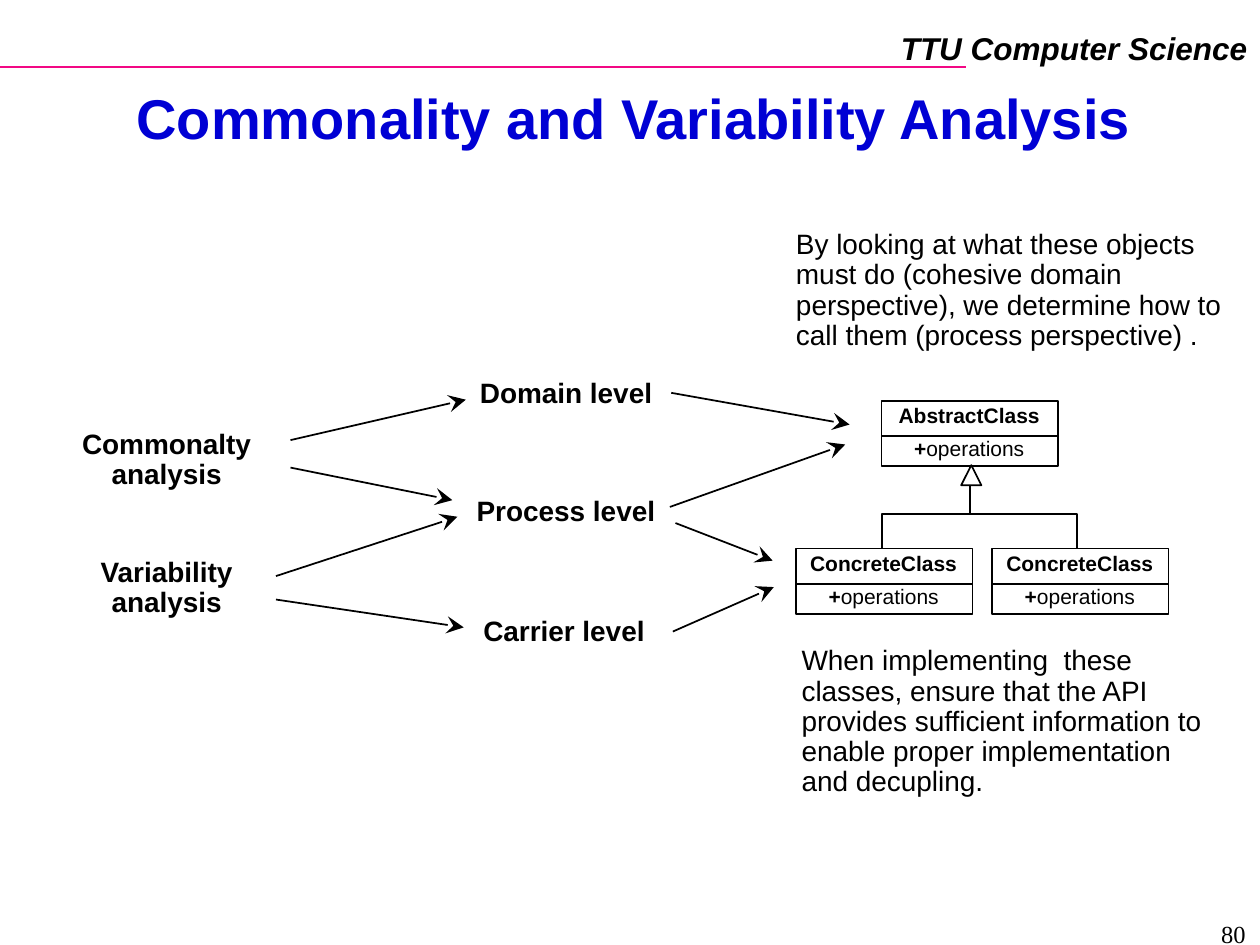
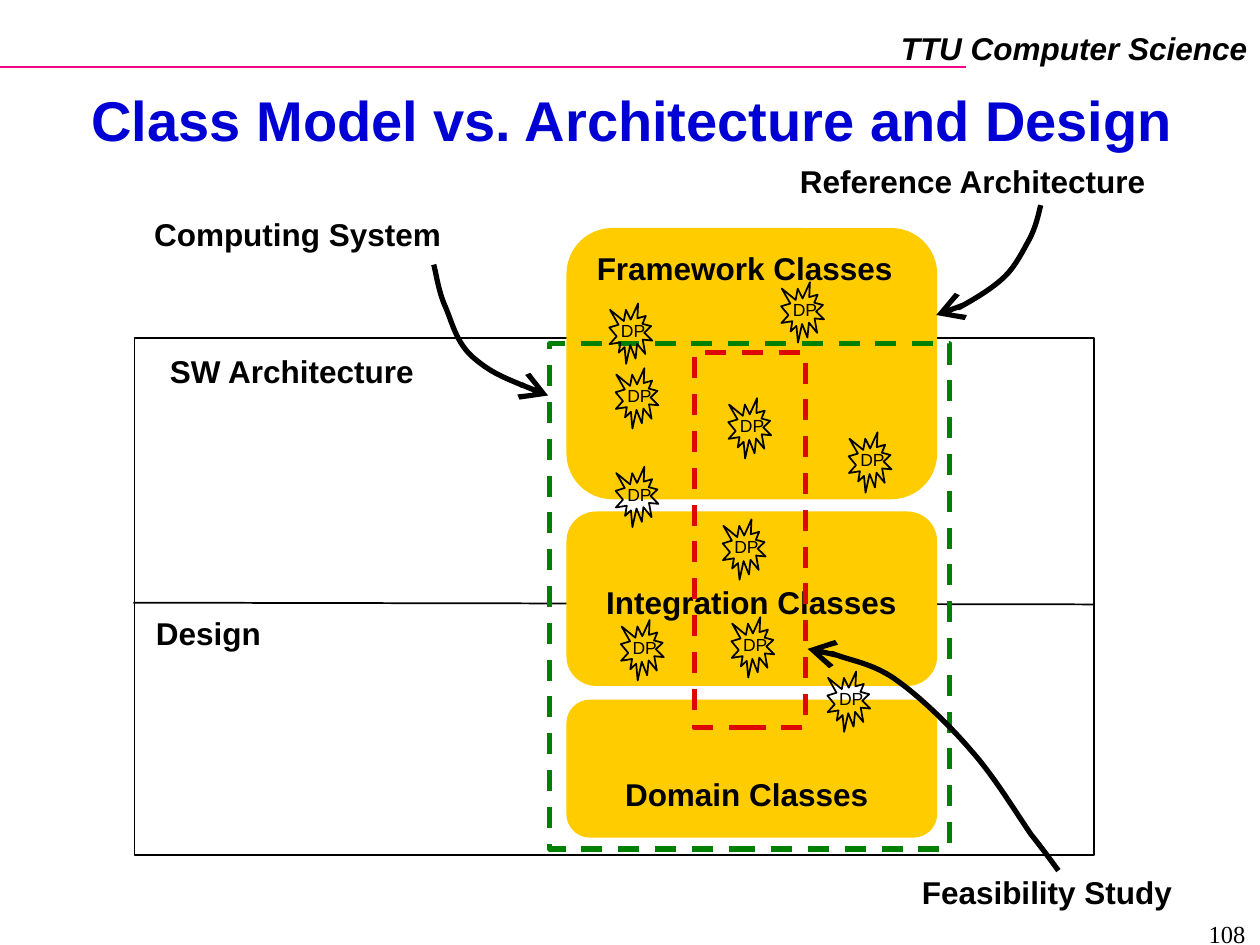
from lxml.etree import SubElement
from pptx import Presentation
from pptx.dml.color import RGBColor
from pptx.enum.dml import MSO_LINE
from pptx.enum.shapes import MSO_CONNECTOR, MSO_SHAPE
from pptx.enum.text import MSO_ANCHOR, PP_ALIGN
from pptx.oxml.ns import qn
from pptx.util import Pt

COLORS = {
    "black": "000000",
    "white": "FFFFFF",
    "title": "0000D4",
    "rule": "F20884",
    "layer": "FFCC00",
    "system": "008000",
    "study": "DD0806",
}
TITLE = {"size": 32, "bold": True, "color": "title"}
HEADER = {"size": 18, "bold": True, "italic": True}
NUMBER = {"size": 14, "name": "Times New Roman"}
LEVEL = {"size": 16, "bold": True}
NOTE = {"size": 16}
CLASS_NAME = {"size": 12, "bold": True}
CLASS_BODY = {"size": 12}
LABEL = {"size": 18, "bold": True}
PATTERN = {"size": 10}


def rgb(name):
    return RGBColor.from_string(COLORS[name])


def set_font(font, fmt):
    values = {"name": "Arial", "bold": False, "italic": False, "color": "black", **fmt}
    font.color.rgb = rgb(values.pop("color"))
    values["size"] = Pt(values["size"])
    for key, value in values.items():
        setattr(font, key, value)


def set_line(line, color="black", width=1, dashed=False):
    line.color.rgb = rgb(color)
    line.width = Pt(width)
    if dashed:
        line.dash_style = MSO_LINE.DASH


def add_arrowhead(sp, kind):
    ln = sp.line._get_or_add_ln()
    SubElement(ln, qn("a:tailEnd"), type=kind, w="lg", len="lg")


def add_text(shapes, box, runs, align=PP_ALIGN.LEFT, spacing=0.9,
             anchor=MSO_ANCHOR.TOP, wrap=True):
    tf = shapes.add_textbox(*map(Pt, box)).text_frame
    tf.word_wrap = wrap
    tf.vertical_anchor = anchor
    p = tf.paragraphs[0]
    p.alignment = align
    p.line_spacing = spacing
    for text, fmt in runs:
        r = p.add_run()
        r.text = text
        set_font(r.font, fmt)


def add_box(shapes, kind, box, fill=None, **line):
    sp = shapes.add_shape(kind, *map(Pt, box))
    sp.shadow.inherit = False
    if fill:
        sp.fill.solid()
        sp.fill.fore_color.rgb = rgb(fill)
    else:
        sp.fill.background()
    set_line(sp.line, **line)
    return sp


def add_line(shapes, ends, color="black", head=None):
    cxn = shapes.add_connector(MSO_CONNECTOR.STRAIGHT, *map(Pt, ends))
    set_line(cxn.line, color)
    if head:
        add_arrowhead(cxn, head)
    SubElement(cxn._element.spPr, qn("a:effectLst"))
    return cxn


def add_path(shapes, points, width=1):
    start, *rest = [(Pt(x), Pt(y)) for x, y in points]
    fb = shapes.build_freeform(*start)
    fb.add_line_segments(rest, close=False)
    sp = fb.convert_to_shape()
    sp.shadow.inherit = False
    sp.fill.background()
    set_line(sp.line, width=width)
    return sp


def add_curve(shapes, knots):
    sp = add_path(shapes, knots, width=3)
    add_arrowhead(sp, "arrow")
    outline = next(sp._element.iter(qn("a:path")))
    segments = outline.findall(qn("a:lnTo"))
    for i in range(0, len(segments), 3):
        curve = SubElement(outline, qn("a:cubicBezTo"))
        for segment in segments[i:i + 3]:
            curve.append(segment[0])
            outline.remove(segment)


def add_class(shapes, x, y, name):
    grp = shapes.add_group_shape().shapes
    frame = add_box(grp, MSO_SHAPE.RECTANGLE, (x, y, 100.8, 37.4))
    add_line(grp, (x, y + 20.2, x + 100.4, y + 20.2))
    body = [("+", CLASS_NAME), ("operations", CLASS_BODY)]
    for dy, runs in ((-0.7, [(name, CLASS_NAME)]), (18, body)):
        add_text(grp, (x - 3.2, y + dy, 106.5, 20), runs, PP_ALIGN.CENTER)
    return frame


def add_pattern(shapes, x, y):
    grp = shapes.add_group_shape().shapes
    add_box(grp, MSO_SHAPE.EXPLOSION1, (x, y, 24.5, 34.5))
    add_text(grp, (x - 7.7, y + 7.4, 42.5, 18), [("DP", PATTERN)], PP_ALIGN.CENTER)


def add_slide(prs, title, title_box, number):
    s = prs.slides.add_slide(prs.slide_layouts[6])
    add_line(s.shapes, (0, 38.2, 552, 38.2), "rule")
    add_text(s.shapes, (507.5, 13, 212.4, 29), [("TTU Computer Science", HEADER)],
             PP_ALIGN.RIGHT, 1, wrap=False)
    add_text(s.shapes, title_box, [(title, TITLE)], PP_ALIGN.CENTER, 0.87,
             MSO_ANCHOR.MIDDLE)
    add_text(s.shapes, (550.8, 521.6, 168, 16), [(number, NUMBER)], PP_ALIGN.RIGHT, 1)
    return s.shapes


def build_analysis(prs):
    shapes = add_slide(prs, "Commonality and Variability Analysis",
                       (38.3, 60.5, 648, 19), "80")
    levels = [
        ("Domain level", 258.5, 213, 130, 24.5),
        ("Process level", 260.4, 280.6, 126, 24.5),
        ("Carrier level", 266.3, 349.4, 112, 24.5),
        ("Commonalty analysis", 39.2, 242.5, 112, 42),
        ("Variability analysis", 39.2, 315.5, 112, 42),
    ]
    for text, *box in levels:
        add_text(shapes, box, [(text, LEVEL)], PP_ALIGN.CENTER)

    arrows = [
        (166, 251.5, 266.2, 228.4), (166, 267.2, 258.5, 285.8),
        (157.7, 329.2, 261.4, 295.3), (157.7, 342.6, 265, 358.5),
        (383.6, 224.5, 485.5, 242.6), (382.8, 289.7, 483, 254),
        (386, 298.9, 441.5, 320.4), (384.5, 360.9, 442.2, 335.5),
    ]
    for ends in arrows:
        add_line(shapes, ends, head="stealth")

    for x in (454.9, 567):
        add_class(shapes, x, 313.4, "ConcreteClass")
    parent = add_class(shapes, 503.8, 229, "AbstractClass")
    add_path(shapes, [(504, 313.4), (504, 293.6), (615.6, 293.6), (615.6, 313.4)])
    stem = add_line(shapes, (554.2, 266.4, 554.2, 293.6))
    stem.begin_connect(parent, 2)
    add_box(shapes, MSO_SHAPE.ISOSCELES_TRIANGLE, (549.3, 265.8, 11.5, 11.5), "white")

    notes = [
        ("When implementing  these classes, ensure that the API provides sufficient "
         "information to enable proper implementation and decupling.",
         451, 366, 255, 93.5),
        ("By looking at what these objects must do (cohesive domain perspective), "
         "we determine how to call them (process perspective) .",
         447.8, 128.2, 272, 76.5),
    ]
    for text, *box in notes:
        add_text(shapes, box, [(text, NOTE)])


def build_class_model(prs):
    shapes = add_slide(prs, "Class Model vs. Architecture and Design",
                       (37.5, 51.3, 648, 39.5), "108")
    add_box(shapes, MSO_SHAPE.RECTANGLE, (76.9, 193, 548.2, 295.4))
    add_line(shapes, (76.3, 344.4, 625, 345.4))
    for y, height in ((130.8, 154), (292.8, 98.7), (400.3, 77.8)):
        add_box(shapes, MSO_SHAPE.ROUNDED_RECTANGLE, (324.2, y, 210.8, height),
                "layer", color="layer")

    left, center = PP_ALIGN.LEFT, PP_ALIGN.CENTER
    labels = [
        ("Framework Classes", 328.3, 141, 194.5, center),
        ("Integration Classes", 332.2, 332, 194.5, center),
        ("Domain Classes", 329.2, 442, 195, center),
        ("SW Architecture", 90, 200, 195, left),
        ("Design", 82, 350, 195, left),
        ("Computing System", 81, 121.7, 194.5, left),
        ("Reference Architecture", 450, 91.3, 238, left),
        ("Feasibility Study", 519.7, 497.5, 161.3, left),
    ]
    for text, x, y, width, align in labels:
        add_text(shapes, (x, y, width, 26.6), [(text, LABEL)], align)

    for color, box in (("system", (314.2, 196.4, 228.3, 288.7)),
                       ("study", (396.7, 201.4, 63.5, 214.5))):
        add_box(shapes, MSO_SHAPE.RECTANGLE, box, color=color, width=3, dashed=True)

    curves = [
        [(247.9, 151.2), (249.1, 155.5), (250.6, 166.5), (254.4, 175),
         (258.5, 184.3), (260.6, 195.8), (270.7, 204.5),
         (280.8, 213.1), (296.6, 219.6), (313.2, 226)],
        [(594.7, 117.2), (593.3, 123), (592, 129.6), (588.2, 136.8),
         (584.6, 143.3), (580.3, 152), (574.5, 157.7),
         (568, 164.2), (557.3, 170.6), (550.8, 174.2),
         (544.3, 177.8), (539.3, 178.6), (535, 180)],
        [(604.8, 497.5), (602.6, 494.6), (597.6, 487.4), (589, 476.6),
         (581, 465), (568, 443.5), (555.1, 429.1),
         (542.9, 414.7), (525.6, 398.2), (513.4, 389.5),
         (501.1, 380.2), (488.9, 378), (480.2, 375.1),
         (471.6, 372.2), (466.6, 371.5), (461.5, 370.8)],
    ]
    for knots in curves:
        add_curve(shapes, knots)

    patterns = [
        (446.4, 161.3), (348.2, 173.4), (416.2, 227.5), (485, 247), (413, 296.8),
        (354.8, 354.3), (418, 352.7), (472.8, 383.7), (351.8, 210.4), (351.8, 266.7),
    ]
    for x, y in patterns:
        add_pattern(shapes, x, y)


def main():
    prs = Presentation()
    prs.slide_width, prs.slide_height = Pt(720), Pt(540)
    build_analysis(prs)
    build_class_model(prs)
    prs.save("out.pptx")


if __name__ == "__main__":
    main()
